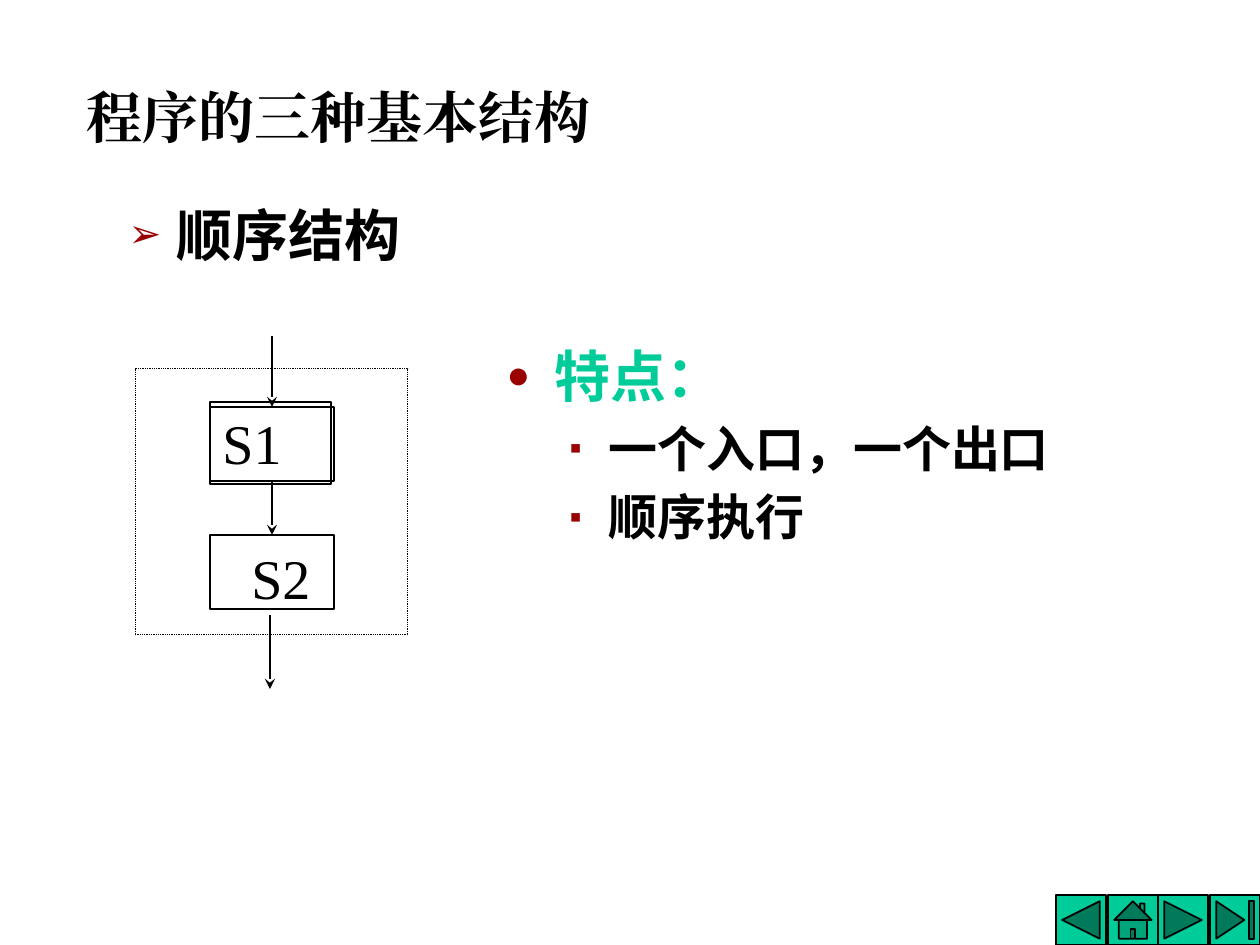
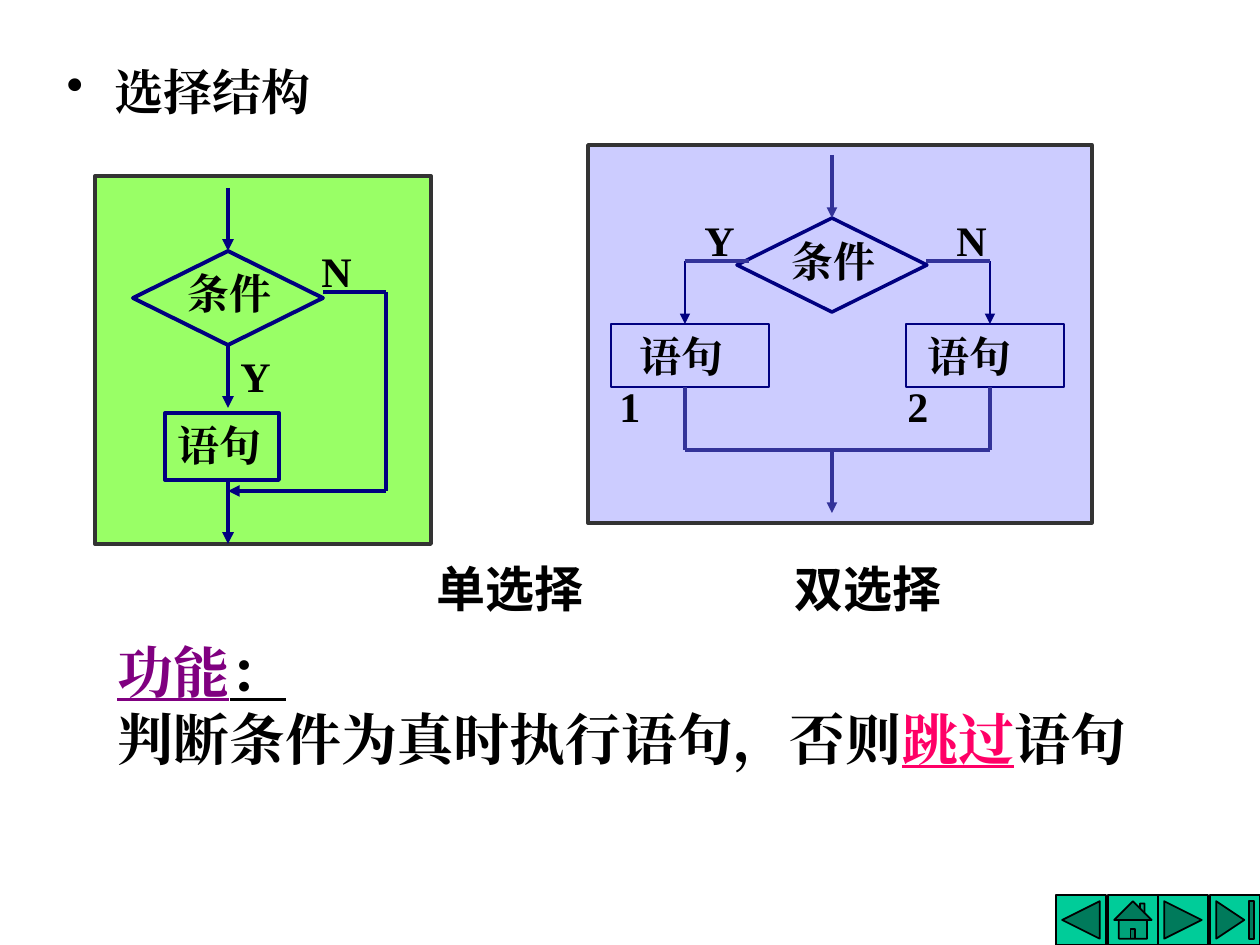
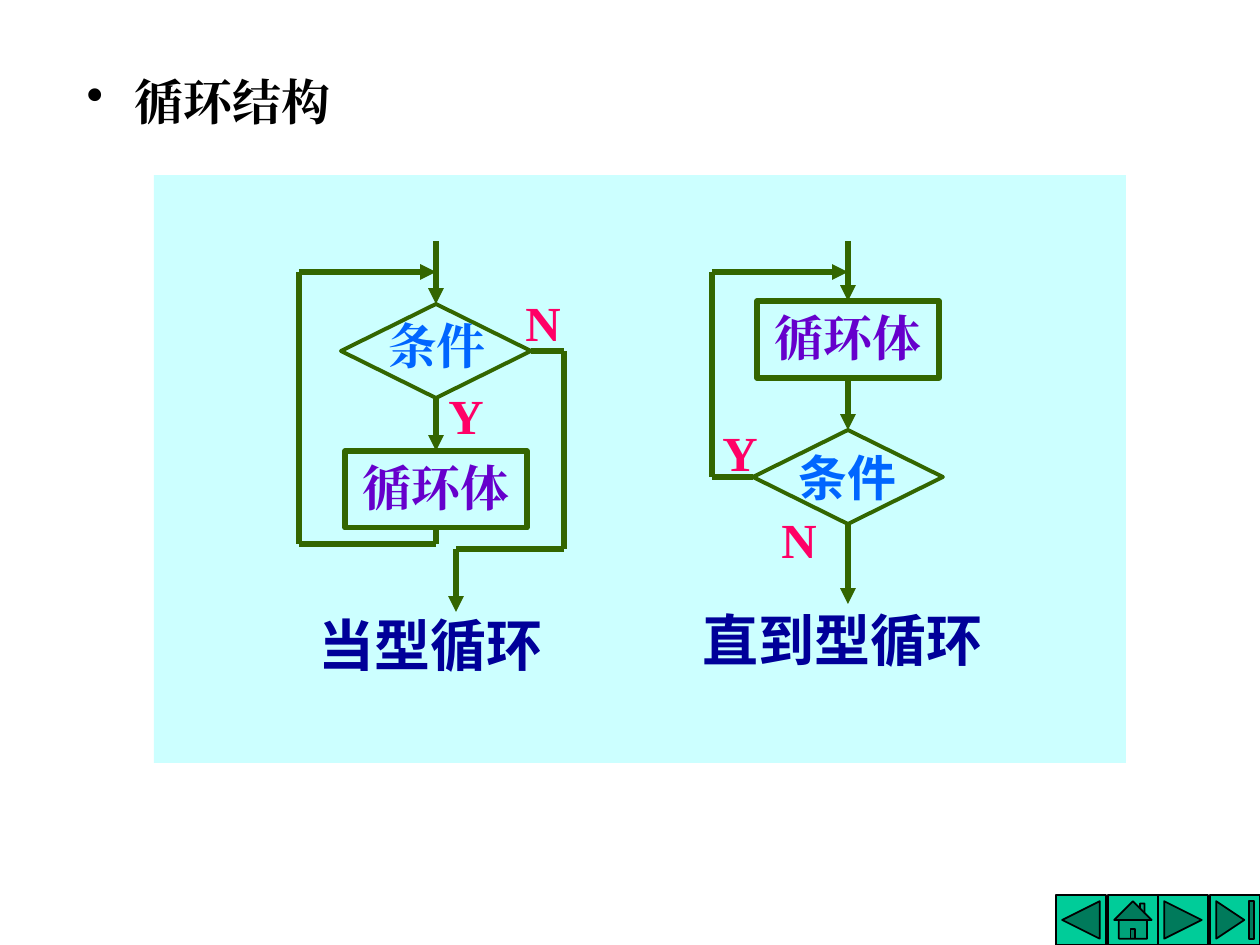
"""Build three slides on the sequence, selection and loop structures of programs."""
import dataclasses
import itertools
import typing

import lxml.etree
import pptx
import pptx.dml.color
import pptx.enum.dml
import pptx.enum.lang
import pptx.enum.shapes
import pptx.enum.text
import pptx.oxml.ns
import pptx.util

PX = 7257
RGB = pptx.dml.color.RGBColor.from_string
SHAPE = pptx.enum.shapes.MSO_SHAPE
ALIGN = pptx.enum.text.PP_ALIGN
ANCHOR = pptx.enum.text.MSO_ANCHOR
qn = pptx.oxml.ns.qn
SERIF, SANS, CHINESE = "Times New Roman", "Arial", "Noto Sans CJK SC"


class Style(typing.NamedTuple):
    font: str
    size: int
    color: str
    bold: bool = True
    underline: bool = False
    align: ALIGN = ALIGN.LEFT
    line_spacing: float = 1.0


@dataclasses.dataclass(frozen=True)
class Theme:
    ink: str = "000000"
    button: str = "00CC99"
    bullet: str = "990000"
    frame: str = "333333"
    navy: str = "000080"
    indigo: str = "333399"
    green: str = "336600"
    single_panel: str = "99FF66"
    double_panel: str = "CCCCFF"
    loop_panel: str = "CCFFFF"
    title: Style = Style(SERIF, 32, "000000")
    heading: Style = Style(SERIF, 28, "000000")
    topic: Style = Style(SANS, 32, "000000")
    features: Style = Style(SANS, 32, "00CC99")
    feature: Style = Style(SANS, 28, "000000")
    step: Style = Style(SERIF, 32, "000000", False)
    flow: Style = Style(SERIF, 24, "000000")
    branch: Style = Style(SERIF, 28, "FF0066")
    condition: Style = Style(SERIF, 28, "0066FF", align=ALIGN.CENTER)
    until_condition: Style = Style(SANS, 28, "0066FF", align=ALIGN.CENTER)
    loop_body: Style = Style(SERIF, 28, "6600CC", align=ALIGN.CENTER)
    choice: Style = Style(CHINESE, 28, "000000")
    loop_name: Style = Style(CHINESE, 32, "000099", line_spacing=0.9)
    function: Style = Style(SERIF, 32, "800080", underline=True)
    function_colon: Style = Style(SERIF, 32, "000000", underline=True)
    skip: Style = Style(SERIF, 32, "FF0066", underline=True)


theme = Theme()


def format_run(run, style):
    run.font.name = style.font
    run.font.size = pptx.util.Pt(style.size)
    run.font.bold = style.bold
    run.font.underline = style.underline
    run.font.color.rgb = RGB(style.color)
    run.font.language_id = pptx.enum.lang.MSO_LANGUAGE_ID.SIMPLIFIED_CHINESE
    lxml.etree.SubElement(run._r.get_or_add_rPr(), qn("a:ea"), typeface=style.font)


def add_outline(slide, kind, box, fill, line, weight):
    shape = slide.shapes.add_shape(kind, *(length * PX for length in box))
    shape.shadow.inherit = False
    if fill:
        shape.fill.solid()
        shape.fill.fore_color.rgb = RGB(fill)
    else:
        shape.fill.background()
    if line:
        shape.line.color.rgb = RGB(line)
        shape.line.width = pptx.util.Pt(weight)
    else:
        shape.line.fill.background()
    return shape


presentation = pptx.Presentation()
presentation.slide_width = pptx.util.Inches(10)
presentation.slide_height = pptx.util.Inches(7.5)
layouts = presentation.slide_layouts
sequence, selection, loops = [
    presentation.slides.add_slide(layouts[index]) for index in (3, 5, 5)
]

master_tree = presentation.slide_master.element.cSld.spTree
buttons = [
    (SHAPE.ACTION_BUTTON_FORWARD_OR_NEXT, 1158),
    (SHAPE.ACTION_BUTTON_HOME, 1108),
    (SHAPE.ACTION_BUTTON_BACK_OR_PREVIOUS, 1056),
    (SHAPE.ACTION_BUTTON_END, 1210),
]
for number, (kind, left) in enumerate(buttons, 101):
    button = add_outline(sequence, kind, (left, 895, 50, 50), theme.button, theme.ink, 1)
    button.element.nvSpPr.cNvPr.set("id", str(number))
    master_tree.append(button.element)

texts = [
    (sequence, 0, (74, 76, 903, 89), [("程序的三种基本结构", theme.title, None, None, 0)]),
    (sequence, 1, (116, 194, 399, 89), [("顺序结构", theme.topic, "➢", theme.bullet, 0)]),
    (sequence, 2, (494, 335, 640, 262), [
        ("特点：", theme.features, "●", theme.bullet, 0),
        ("一个入口，一个出口", theme.feature, "▪", theme.bullet, 1),
        ("顺序执行", theme.feature, "▪", theme.bullet, 1),
    ]),
    (selection, 0, (54, 55, 604, 89), [("选择结构", theme.heading, "•", None, 0)]),
    (loops, 0, (74, 65, 604, 89), [("循环结构", theme.heading, "•", None, 0)]),
]
indents = [(48, -48), (102, -39)]
for slide, index, box, lines in texts:
    placeholder = slide.placeholders[index]
    placeholder.left, placeholder.top, placeholder.width, placeholder.height = (
        length * PX for length in box
    )
    frame = placeholder.text_frame
    frame.text = "\n".join(line[0] for line in lines)
    frame.auto_size = pptx.enum.text.MSO_AUTO_SIZE.NONE
    frame.vertical_anchor = ANCHOR.TOP
    for position, (paragraph, line) in enumerate(zip(frame.paragraphs, lines)):
        text, style, bullet, bullet_color, level = line
        paragraph.level = level
        paragraph.alignment = style.align
        properties = paragraph._p.get_or_add_pPr()
        margin, indent = indents[level]
        properties.set("marL", str(margin * PX))
        properties.set("indent", str(indent * PX))
        if bullet_color:
            color = lxml.etree.SubElement(properties, qn("a:buClr"))
            lxml.etree.SubElement(color, qn("a:srgbClr"), val=bullet_color)
            lxml.etree.SubElement(properties, qn("a:buSzPct"), val="70000")
        if bullet:
            lxml.etree.SubElement(properties, qn("a:buChar"), char=bullet)
        else:
            lxml.etree.SubElement(properties, qn("a:buNone"))
        paragraph.space_before = pptx.util.Pt(style.size * 0.2 if position else 0)
        format_run(paragraph.runs[0], style)

box, decision, process = SHAPE.RECTANGLE, SHAPE.FLOWCHART_DECISION, SHAPE.FLOWCHART_PROCESS
outline_table = [
    ("sequence_frame", sequence, box, (135, 369, 273, 266), None, theme.ink, 0.5),
    ("first_step", sequence, box, (210, 407, 124, 74), None, theme.ink, 1),
    ("second_step", sequence, box, (210, 535, 124, 74), None, theme.ink, 1.5),
    ("first_step_text", sequence, box, (210, 402, 121, 82), None, theme.ink, 1.5),
    ("single_panel", selection, box, (95, 176, 336, 368), theme.single_panel, theme.frame, 2.25),
    ("single_condition", selection, decision, (133, 251, 190, 94), None, theme.navy, 2.25),
    ("single_statement", selection, box, (165, 413, 114, 67), None, theme.navy, 2.25),
    ("double_panel", selection, box, (588, 145, 504, 378), theme.double_panel, theme.frame, 2),
    ("double_condition", selection, decision, (737, 218, 190, 94), None, theme.navy, 2),
    ("yes_statement", selection, process, (611, 324, 158, 63), None, theme.navy, 1),
    ("no_statement", selection, process, (906, 324, 158, 63), None, theme.navy, 1),
    ("loop_panel", loops, box, (154, 175, 972, 588), theme.loop_panel, None, 0),
    ("while_condition", loops, decision, (341, 304, 190, 94), None, theme.green, 2.25),
    ("while_body", loops, box, (345, 451, 182, 77), None, theme.green, 3),
    ("until_condition", loops, decision, (753, 430, 190, 94), None, theme.green, 2.25),
    ("until_body", loops, box, (757, 301, 182, 77), None, theme.green, 3),
]
outlines = {name: add_outline(*details) for name, *details in outline_table}
outlines["sequence_frame"].line.dash_style = pptx.enum.dml.MSO_LINE.ROUND_DOT

routes = [
    (sequence, theme.ink, 1.5, True, [(272, 336), (272, 407)], None, ("first_step", 0)),
    (sequence, theme.ink, 1.5, True, [(272, 481), (272, 535)],
     ("first_step", 2), ("second_step", 0)),
    (sequence, theme.ink, 1.5, True, [(270, 615), (270, 689)], None, None),
    (selection, theme.navy, 2.25, True, [(228, 188), (228, 251)], None, ("single_condition", 0)),
    (selection, theme.navy, 2.25, True, [(228, 345), (228, 408)], ("single_condition", 2), None),
    (selection, theme.navy, 2.25, True, [(228, 481), (228, 544)], None, None),
    (selection, theme.navy, 2.25, True,
     [(323, 292), (386, 292), (386, 491), (228, 491)], None, None),
    (selection, theme.navy, 1, True, [(685, 261), (685, 324)], None, None),
    (selection, theme.navy, 1, True, [(990, 261), (990, 324)], None, None),
    (selection, theme.indigo, 2, False, [(685, 261), (749, 261)], None, None),
    (selection, theme.indigo, 2, False, [(926, 261), (990, 261)], None, None),
    (selection, theme.indigo, 2, False,
     [(685, 387), (685, 450), (990, 450), (990, 387)], None, None),
    (selection, theme.indigo, 2, True, [(832, 450), (832, 513)], None, None),
    (selection, theme.indigo, 2, True, [(832, 155), (832, 218)], None, ("double_condition", 0)),
    (loops, theme.green, 3, True, [(436, 241), (436, 304)], None, ("while_condition", 0)),
    (loops, theme.green, 3, True, [(436, 398), (436, 451)],
     ("while_condition", 2), ("while_body", 0)),
    (loops, theme.green, 3, True,
     [(531, 351), (564, 351), (564, 549), (456, 549), (456, 612)], ("while_condition", 3), None),
    (loops, theme.green, 3, True,
     [(436, 528), (436, 544), (299, 544), (299, 272), (436, 272)], ("while_body", 2), None),
    (loops, theme.green, 3, True, [(848, 241), (848, 301)], None, ("until_body", 0)),
    (loops, theme.green, 3, True, [(848, 378), (848, 430)],
     ("until_body", 2), ("until_condition", 0)),
    (loops, theme.green, 3, True, [(848, 524), (848, 604)], ("until_condition", 2), None),
    (loops, theme.green, 3, True,
     [(753, 477), (712, 477), (712, 272), (848, 272)], ("until_condition", 1), None),
]
for slide, color, weight, arrow, points, source, target in routes:
    connectors = []
    for start, end in itertools.pairwise(points):
        connector = slide.shapes.add_connector(
            pptx.enum.shapes.MSO_CONNECTOR.STRAIGHT,
            *(length * PX for length in (*start, *end)),
        )
        connector.line.color.rgb = RGB(color)
        connector.line.width = pptx.util.Pt(weight)
        lxml.etree.SubElement(connector.element.spPr, qn("a:effectLst"))
        connectors.append(connector)
    if arrow:
        outline = connectors[-1].element.spPr.find(qn("a:ln"))
        head = "stealth" if slide is sequence else "triangle"
        lxml.etree.SubElement(outline, qn("a:tailEnd"), type=head)
    if source:
        connectors[0].begin_connect(outlines[source[0]], source[1])
    if target:
        connectors[-1].end_connect(outlines[target[0]], target[1])

captions = [
    (outlines["first_step_text"], "S1", theme.step),
    (outlines["single_statement"], "语句", theme.flow),
    (outlines["while_body"], "循环体", theme.loop_body),
    (outlines["until_body"], "循环体", theme.loop_body),
    (outlines["until_condition"], "条件", theme.until_condition),
]
labels = [
    (sequence, (239, 537, 136, 79), "S2", theme.step),
    (selection, (309, 239, 58, 63), "N", theme.flow),
    (selection, (175, 261, 114, 63), "条件", theme.flow),
    (selection, (228, 344, 58, 63), "Y", theme.flow),
    (selection, (779, 229, 114, 63), "条件", theme.flow),
    (selection, (607, 324, 151, 63), "语句\v1", theme.flow),
    (selection, (895, 324, 151, 63), "语句\v2", theme.flow),
    (selection, (692, 208, 58, 63), "Y", theme.flow),
    (selection, (944, 208, 58, 63), "N", theme.flow),
    (selection, (424, 552, 180, 72), "单选择", theme.choice),
    (selection, (782, 552, 180, 72), "双选择", theme.choice),
    (loops, (513, 286, 62, 72), "N", theme.branch),
    (loops, (373, 309, 128, 72), "条件", theme.condition),
    (loops, (436, 379, 62, 72), "Y", theme.branch),
    (loops, (769, 503, 62, 72), "N", theme.branch),
    (loops, (710, 416, 62, 72), "Y", theme.branch),
    (loops, (306, 612, 256, 73), "当型循环", theme.loop_name),
    (loops, (690, 607, 312, 73), "直到型循环", theme.loop_name),
]
for slide, place, text, style in labels:
    label = slide.shapes.add_textbox(*(length * PX for length in place))
    captions.append((label, text, style))
for shape, text, style in captions:
    frame = shape.text_frame
    frame.word_wrap = True
    frame.vertical_anchor = ANCHOR.TOP
    paragraph = frame.paragraphs[0]
    paragraph.text = text
    paragraph.alignment = style.align
    paragraph.line_spacing = style.line_spacing
    if "\v" in text:
        paragraph._p.get_or_add_pPr().set("indent", str(20 * PX))
    for run in paragraph.runs:
        format_run(run, style)
until_frame = outlines["until_condition"].text_frame
until_frame.word_wrap = False
until_frame.vertical_anchor = ANCHOR.MIDDLE

explanation = selection.shapes.add_textbox(*(length * PX for length in (105, 631, 1062, 147)))
explanation.text_frame.word_wrap = True
explanation.text_frame.vertical_anchor = ANCHOR.MIDDLE
explanation.text_frame.text = "\n"
explanation_lines = [
    [("功能", theme.function), ("：", theme.function_colon)],
    [("判断条件为真时执行语句，否则", theme.title), ("跳过", theme.skip), ("语句", theme.title)],
]
for paragraph, parts in zip(explanation.text_frame.paragraphs, explanation_lines):
    for text, style in parts:
        run = paragraph.add_run()
        run.text = text
        format_run(run, style)

presentation.save("out.pptx")
